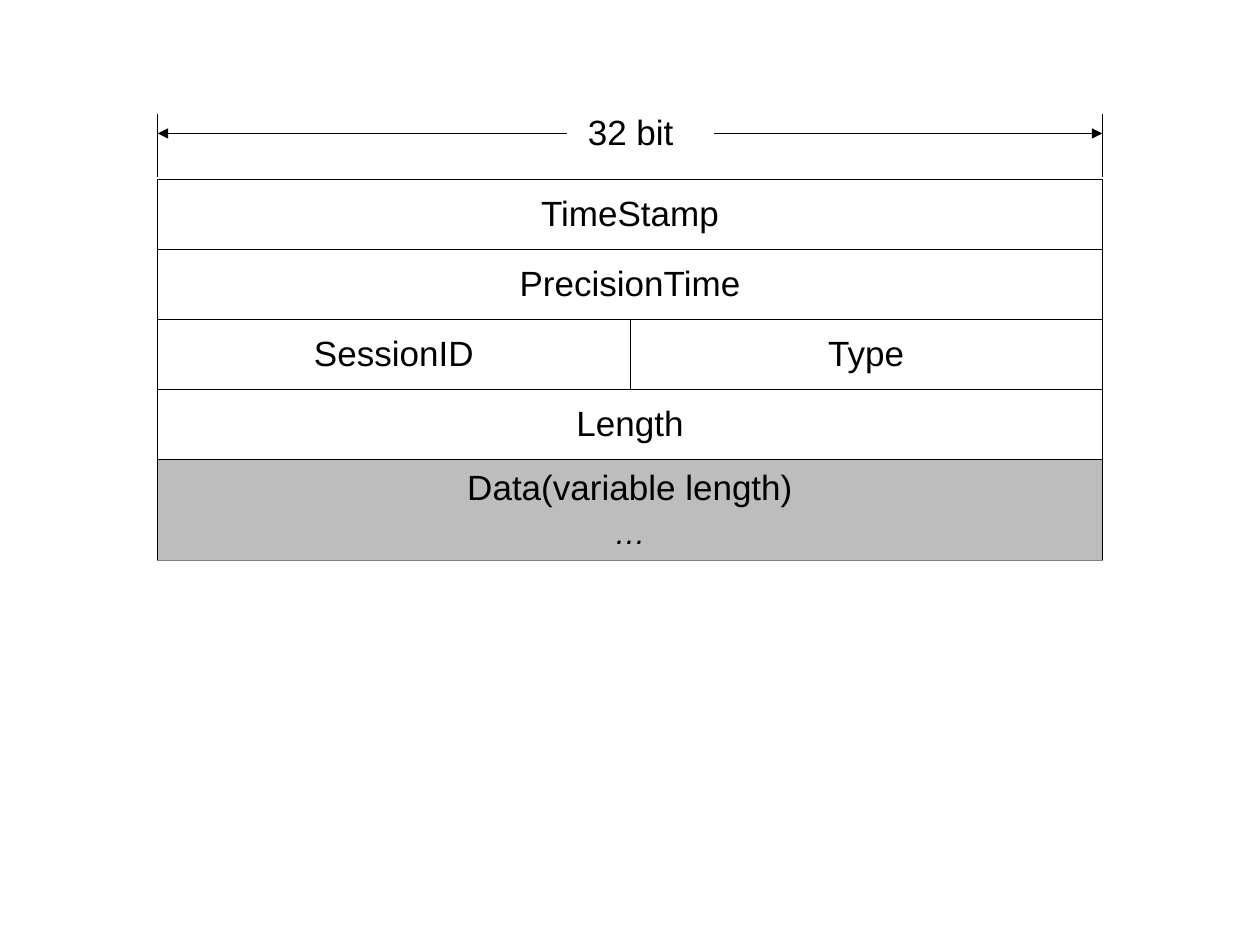
from lxml.etree import SubElement
from pptx import Presentation
from pptx.dml.color import RGBColor
from pptx.enum.shapes import MSO_CONNECTOR as Link
from pptx.enum.text import MSO_ANCHOR as Anchor, MSO_AUTO_SIZE as Fit, PP_ALIGN as Align
from pptx.oxml import parse_xml
from pptx.oxml.ns import nsdecls, qn
from pptx.util import Cm, Pt

LEFT, MID, RIGHT = 3.18, 12.7, 22.22
TOP = 3.62
HEIGHTS = [1.41] * 4 + [2.03]
FIELDS = [["TimeStamp"], ["PrecisionTime"], ["SessionID", "Type"], ["Length"],
          ["Data(variable length)"]]
BLACK, GREY, DARK = "000000", "BDBDBD", "808080"


def color(code):
    return RGBColor.from_string(code)


class Sheet:
    font = "Arial"
    size = 20

    def __init__(self, slide):
        self.slide = slide

    def style(self, para, size=size, italic=False):
        font = para.font
        font.name, font.size, font.italic = self.font, Pt(size), italic
        font.color.rgb = color(BLACK)

    def line(self, x1, y1, x2, y2, arrow=False):
        link = self.slide.shapes.add_connector(
            Link.STRAIGHT, Cm(x1), Cm(y1), Cm(x2), Cm(y2))
        link.line.width = Pt(0.75)
        link.line.color.rgb = color(BLACK)
        props = link._element.spPr
        if arrow:
            SubElement(props.find(qn("a:ln")), qn("a:tailEnd"), type="triangle")
        SubElement(props, qn("a:effectLst"))

    def label(self, x, y, w, h, text):
        box = self.slide.shapes.add_textbox(Cm(x), Cm(y), Cm(w), Cm(h))
        frame = box.text_frame
        frame.word_wrap = False
        frame.auto_size = Fit.SHAPE_TO_FIT_TEXT
        frame.text = text
        self.style(frame.paragraphs[0])

    def border(self, cell, base):
        """Draw the four sides; base is the colour of the bottom one."""
        props = cell._tc.get_or_add_tcPr()
        sides = {"L": BLACK, "R": BLACK, "T": BLACK, "B": base}
        for spot, (side, code) in enumerate(sides.items()):
            props.insert(spot, parse_xml(
                f'<a:ln{side} {nsdecls("a")} w="{Pt(0.45)}"><a:solidFill>'
                f'<a:srgbClr val="{code}"/></a:solidFill></a:ln{side}>'))

    def table(self, x, y, widths, heights, rows):
        grid = self.slide.shapes.add_table(
            len(heights), len(widths), Cm(x), Cm(y),
            Cm(sum(widths)), Cm(sum(heights))).table
        grid.first_row = grid.horz_banding = False
        for col, width in zip(grid.columns, widths):
            col.width = Cm(width)
        for r, (texts, height) in enumerate(zip(rows, heights)):
            grid.rows[r].height = Cm(height)
            last = r == len(rows) - 1
            for cell in grid.rows[r].cells:
                if last:
                    cell.fill.solid()
                    cell.fill.fore_color.rgb = color(GREY)
                else:
                    cell.fill.background()
                self.border(cell, DARK if last else BLACK)
            if len(texts) == 1:
                grid.cell(r, 0).merge(grid.cell(r, len(widths) - 1))
            for c, text in enumerate(texts):
                self.field(grid.cell(r, c), text)
        return grid

    def field(self, cell, text):
        cell.vertical_anchor = Anchor.MIDDLE
        cell.text = text
        para = cell.text_frame.paragraphs[0]
        para.alignment = Align.CENTER
        self.style(para)

    def more(self, cell, text):
        """Add a smaller italic paragraph to a cell."""
        para = cell.text_frame.add_paragraph()
        para.text = text
        para.alignment = Align.CENTER
        para.space_before = Pt(4.5)
        self.style(para, 18, True)


def main():
    deck = Presentation()
    deck.slide_width, deck.slide_height = Cm(25.4), Cm(19.05)
    sheet = Sheet(deck.slides.add_slide(deck.slide_layouts[6]))

    grid = sheet.table(LEFT, TOP, [MID - LEFT, RIGHT - MID], HEIGHTS, FIELDS)
    sheet.more(grid.cell(len(FIELDS) - 1, 0), "…")

    sheet.label(11.6, 2.11, 2.24, 1.12, "32 bit")
    for start, end in ((14.4, RIGHT), (11.43, LEFT)):
        sheet.line(start, 2.69, end, 2.69, arrow=True)
        sheet.line(end, 2.29, end, 3.56)

    deck.save("out.pptx")


if __name__ == "__main__":
    main()
